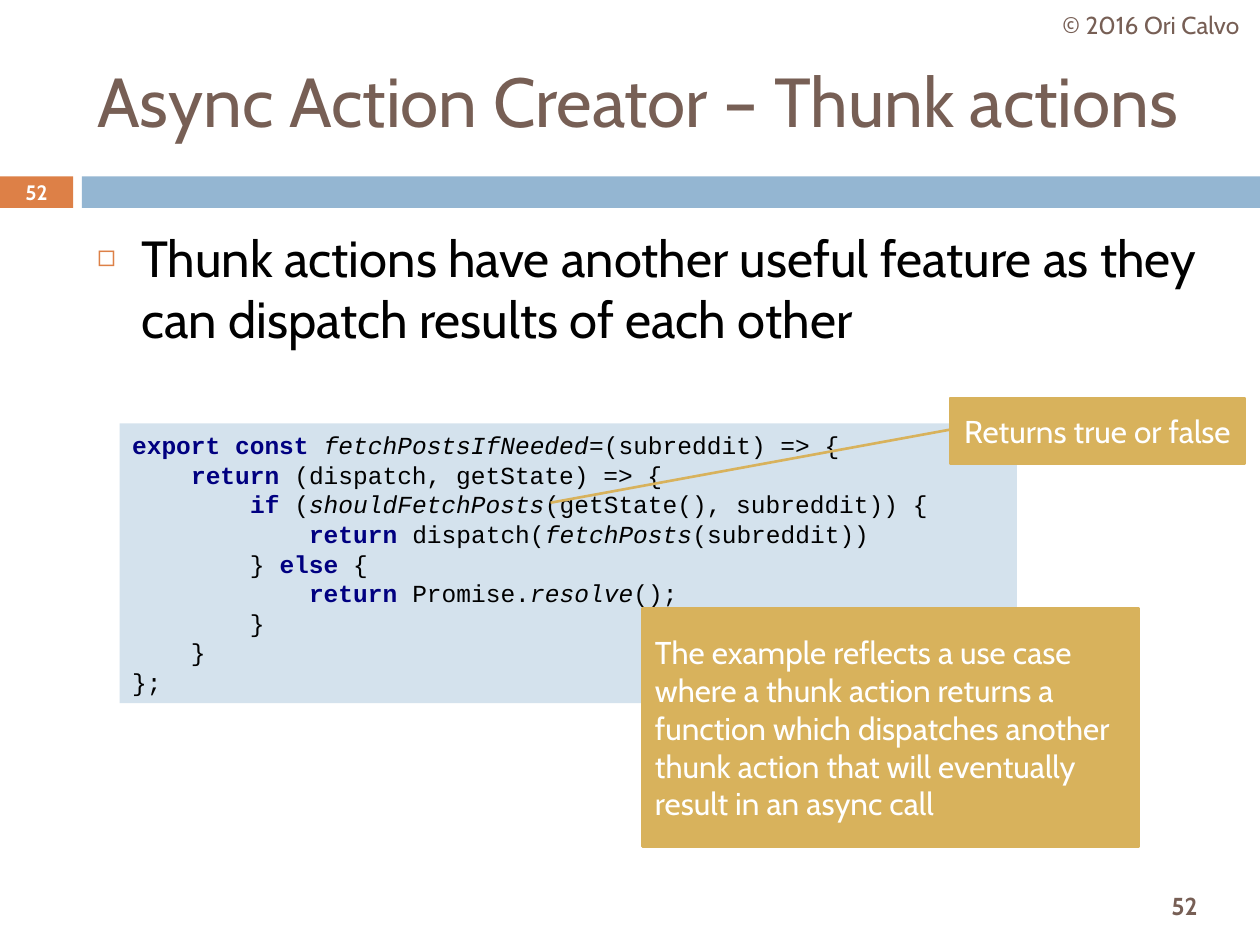
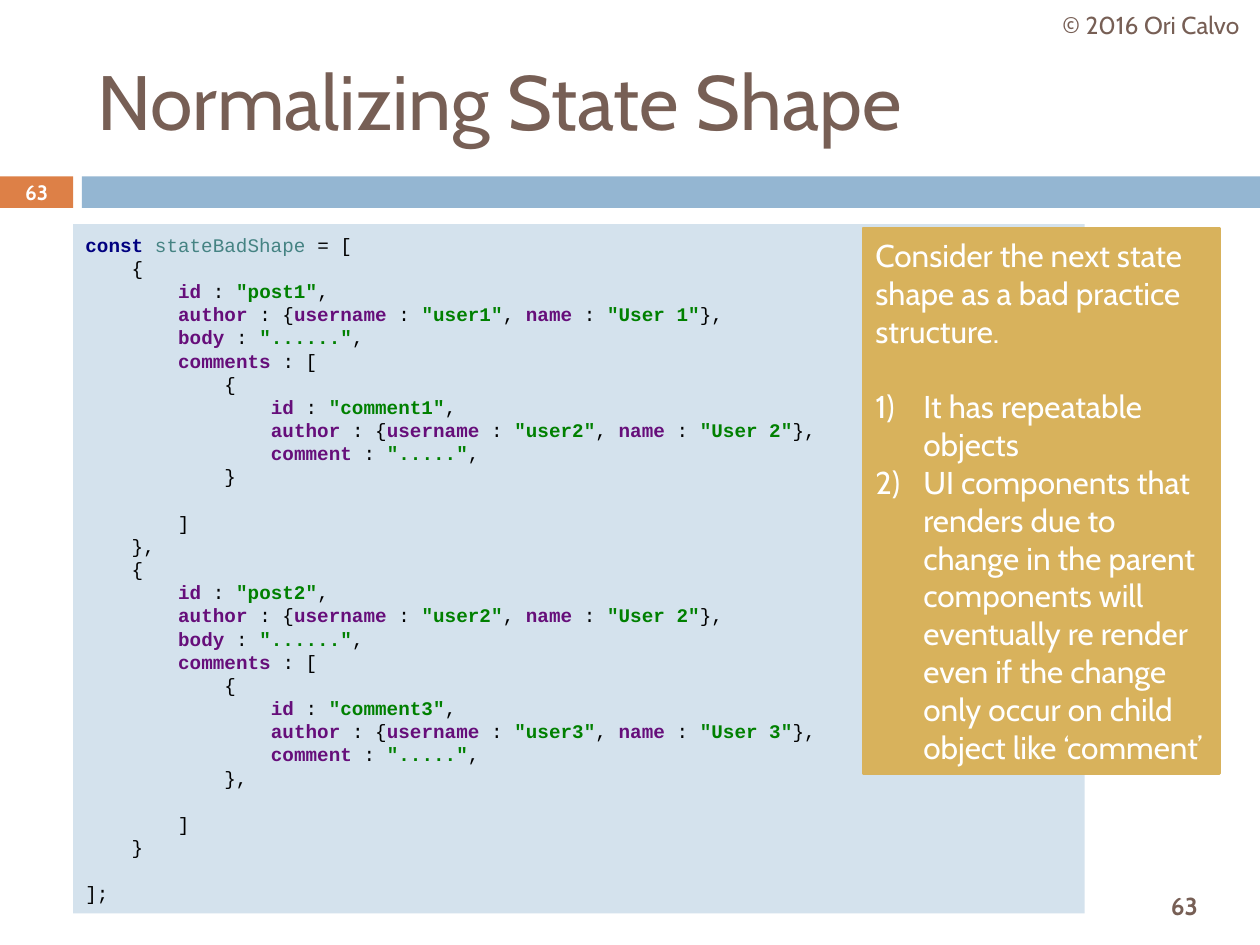
from lxml import etree
from pptx import Presentation
from pptx.dml.color import RGBColor
from pptx.enum.shapes import MSO_CONNECTOR, MSO_SHAPE
from pptx.enum.text import MSO_ANCHOR, MSO_AUTO_SIZE, PP_ALIGN
from pptx.oxml.ns import qn
from pptx.util import Inches, Pt

RECTANGLE = MSO_SHAPE.RECTANGLE
STRAIGHT = MSO_CONNECTOR.STRAIGHT
MIDDLE, TOP = MSO_ANCHOR.MIDDLE, MSO_ANCHOR.TOP
LEFT, CENTER = PP_ALIGN.LEFT, PP_ALIGN.CENTER
NO_FIT = MSO_AUTO_SIZE.NONE

COLORS = {
    "brown": "775F55", "orange": "DD8047", "blue": "94B6D2", "code": "D4E2ED",
    "gold": "D8B25C", "white": "FFFFFF", "black": "000000", "keyword": "000080",
    "variable": "458383", "property": "660E7A", "string": "008000",
}
HEADING_FONT, CODE_FONT = "Cabin", "Courier New"

CODE_STYLES = {
    "k": ("keyword", True, False),
    "i": ("black", False, True),
    "v": ("variable", False, False),
    "p": ("property", True, False),
    "s": ("string", True, False),
}

THUNK_CODE = """|kexport const ||ifetchPostsIfNeeded|=(subreddit) => {
    |kreturn |(dispatch, getState) => {
        |kif |(|ishouldFetchPosts|(getState(), subreddit)) {
            |kreturn |dispatch(|ifetchPosts|(subreddit))
        } |kelse |{
            |kreturn |Promise.|iresolve|();
        }
    }
};"""

POST_CODE = """    {
        |pid |: |s"post%s"|,
        |pauthor |: {|pusername |: |s"user%s"|, |pname |: |s"User %s"|},
        |pbody |: |s"......"|,
        |pcomments |: [
            {
                |pid |: |s"comment%s"|,
                |pauthor |: {|pusername |: |s"user%s"|, |pname |: |s"User %s"|},
                |pcomment |: |s"....."|,
            }%s

        ]
    }"""
POSTS = [(1, 1, 1, 1, 2, 2, ""), (2, 2, 2, 3, 3, 3, ",")]
STATE_CODE = ("|kconst ||vstateBadShape |= [\n"
              + ",\n".join(POST_CODE % post for post in POSTS) + "\n\n];")


def add_box(slide, at, fill=None, line=None, align=LEFT):
    place = [Inches(length) for length in at]
    if fill:
        box = slide.shapes.add_shape(RECTANGLE, *place)
        box.shadow.inherit = False
        box.fill.solid()
        box.fill.fore_color.rgb = RGBColor.from_string(COLORS[fill])
        if line:
            box.line.color.rgb = RGBColor.from_string(COLORS[line])
            box.line.width = Pt(1.5)
        else:
            box.line.fill.background()
    else:
        box = slide.shapes.add_textbox(*place)
    frame = box.text_frame
    frame.word_wrap = True
    frame.vertical_anchor = MIDDLE
    frame.paragraphs[0].alignment = align
    return frame


def add_run(paragraph, text, size, color, font=HEADING_FONT, bold=False, italic=False):
    run = paragraph.add_run()
    run.text = text
    run.font.name = font
    run.font.size = Pt(size)
    run.font.bold = bold
    run.font.italic = italic
    run.font.color.rgb = RGBColor.from_string(COLORS[color])


deck = Presentation()
deck.slide_width, deck.slide_height = Inches(10), Inches(7.5)
title_and_body, title_only = deck.slide_layouts[1], deck.slide_layouts[5]
thunk_slide = deck.slides.add_slide(title_and_body)
state_slide = deck.slides.add_slide(title_only)

for slide, heading, heading_size, number, code, code_at, code_size, spacing in [
    (thunk_slide, "Async Action Creator – Thunk actions", 39.6, "52",
     THUNK_CODE, (0.95, 3.36, 7.12, 2.22), 14, 16.9),
    (state_slide, "Normalizing State Shape", 44, "63",
     STATE_CODE, (0.58, 1.78, 8.03, 5.47), 11, 13.25),
]:
    add_box(slide, (0, 1.4, 0.58, 0.25), "orange")
    add_box(slide, (0.65, 1.4, 9.35, 0.25), "blue")

    title = slide.shapes.title
    title.left, title.top = Inches(0.67), Inches(0.25)
    title.width, title.height = Inches(8.92), Inches(1.08)
    title.text_frame.auto_size = NO_FIT
    title.text_frame.vertical_anchor = MIDDLE
    title.text_frame.paragraphs[0].alignment = LEFT
    add_run(title.text_frame.paragraphs[0], heading, heading_size, "brown")

    for at, text, size, color, bold in [
        ((8.94, 6.98, 0.92, 0.42), number, 14, "brown", True),
        ((8.27, 0, 1.73, 0.4), "© 2016 Ori Calvo", 14, "brown", False),
        ((0, 1.39, 0.58, 0.27), number, 11.9, "white", True),
    ]:
        label = add_box(slide, at, align=CENTER)
        add_run(label.paragraphs[0], text, size, color, bold=bold)

    listing = add_box(slide, code_at, "code").paragraphs[0]
    listing.line_spacing = Pt(spacing)
    for line_index, code_line in enumerate(code.split("\n")):
        if line_index:
            listing.add_line_break()
        for part_index, part in enumerate(code_line.split("|")):
            if not part:
                continue
            if part_index % 2:
                color, bold, italic = CODE_STYLES[part[0]]
                add_run(listing, part[1:], code_size, color, CODE_FONT, bold, italic)
            else:
                add_run(listing, part, code_size, "black", CODE_FONT)

body = thunk_slide.placeholders[1]
body.left, body.top = Inches(0.67), Inches(1.75)
body.width, body.height = Inches(9.13), Inches(1.06)
body.text_frame.auto_size = NO_FIT
body.text_frame.vertical_anchor = TOP
feature = body.text_frame.paragraphs[0]
feature.space_before = Pt(7)
add_run(feature, "Thunk actions have another useful feature as they can dispatch "
        "results of each other", 29, "black")
feature_format = feature._p.get_or_add_pPr()
feature_format.set("marL", str(Inches(0.35)))
feature_format.set("indent", str(Inches(-0.35)))
bullet_color = etree.SubElement(feature_format, qn("a:buClr"))
etree.SubElement(bullet_color, qn("a:srgbClr"), val=COLORS["orange"])
etree.SubElement(feature_format, qn("a:buSzPct"), val="60000")
etree.SubElement(feature_format, qn("a:buChar"), char="◻")

for at, align, text in [
    ((5.1, 4.83, 3.94, 1.89), LEFT,
     "The example reflects a use case where a thunk action returns a function which "
     "dispatches another thunk action that will eventually result in an async call"),
    ((7.54, 3.16, 2.34, 0.52), CENTER, "Returns true or false"),
]:
    callout = add_box(thunk_slide, at, "gold", "gold", align)
    add_run(callout.paragraphs[0], text, 18, "white")

pointer = thunk_slide.shapes.add_connector(
    STRAIGHT, Inches(7.54), Inches(3.41), Inches(4.37), Inches(3.99))
pointer.line.color.rgb = RGBColor.from_string(COLORS["gold"])
pointer.line.width = Pt(1.5)
etree.SubElement(pointer._element.spPr, qn("a:effectLst"))

critique = add_box(state_slide, (6.85, 1.81, 2.83, 4.33), "gold", "gold")
introduction = critique.paragraphs[0]
introduction.space_after = Pt(21.6)
add_run(introduction, "Consider the next state shape as a bad practice structure.",
        18, "white")
for reason in [
    "It has repeatable objects",
    "UI components that renders due to change in the parent components will eventually "
    "re render even if the change only occur on child object like ‘comment’",
]:
    item = critique.add_paragraph()
    item.alignment = LEFT
    add_run(item, reason, 18, "white")
    item_format = item._p.get_or_add_pPr()
    item_format.set("marL", str(Inches(0.38)))
    item_format.set("indent", str(Inches(-0.38)))
    etree.SubElement(item_format, qn("a:buFont"), typeface=HEADING_FONT)
    etree.SubElement(item_format, qn("a:buAutoNum"), type="arabicParenR")

deck.save("out.pptx")
